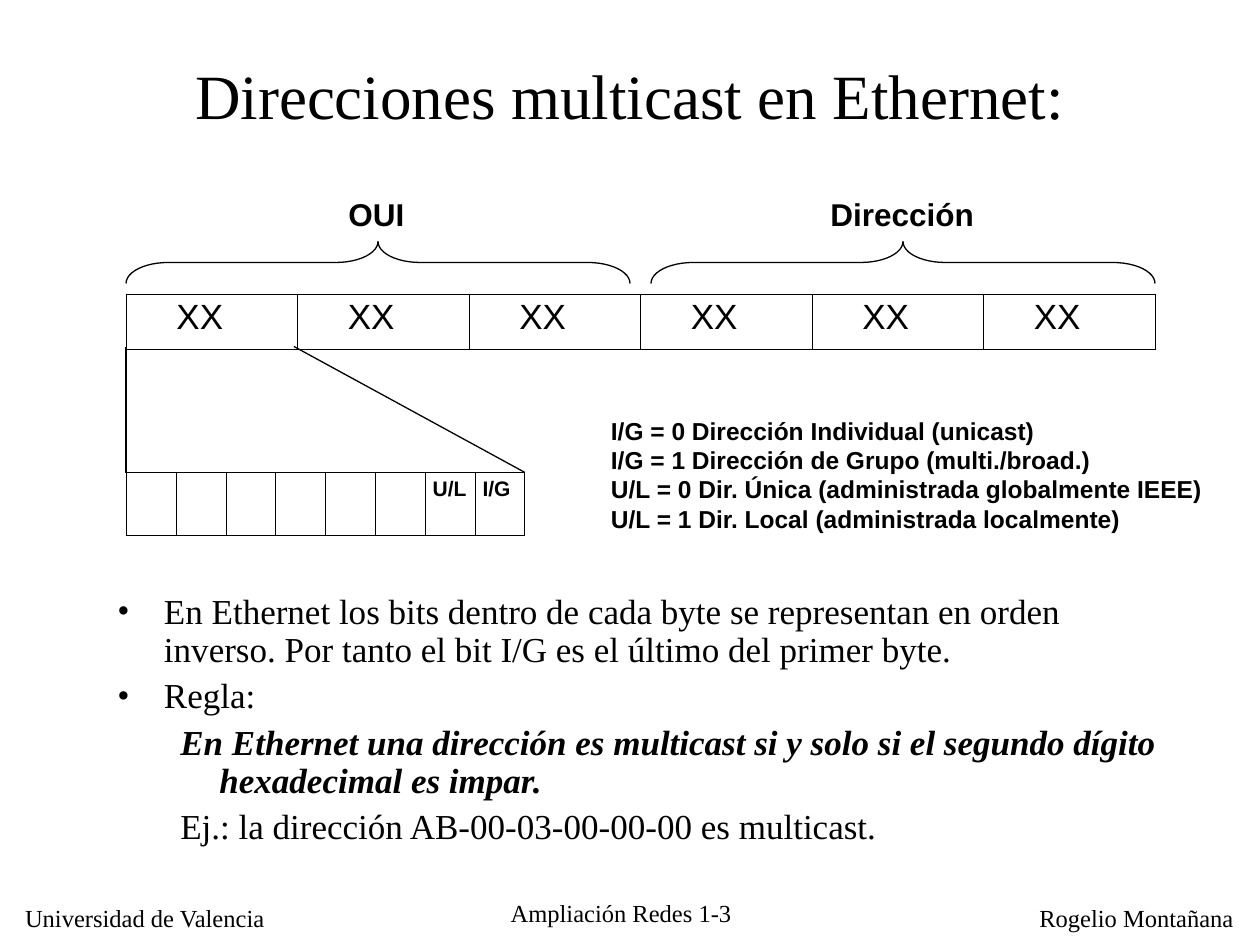
from dataclasses import dataclass
from typing import Optional

from lxml.etree import SubElement
from pptx import Presentation
from pptx.dml.color import RGBColor
from pptx.enum.shapes import MSO_CONNECTOR, MSO_SHAPE
from pptx.enum.text import MSO_ANCHOR, MSO_AUTO_SIZE, PP_ALIGN
from pptx.oxml.ns import qn
from pptx.util import Emu, Inches, Pt

BLACK = "000000"
SERIF, SANS = "Times New Roman", "Arial"
COLS, ROWS = 60, 45

prs = Presentation()
prs.slide_width, prs.slide_height = Inches(10), Inches(7.5)


@dataclass
class Box:
    col: float
    row: float
    cols: float
    rows: float

    def emu(self) -> tuple:
        return (x(self.col), y(self.row), x(self.cols), y(self.rows))


@dataclass
class Label:
    box: Box
    lines: list
    size: float
    font: str
    bold: bool = False
    align: Optional[PP_ALIGN] = None


@dataclass
class ByteTable:
    box: Box
    texts: list
    size: float
    bold: bool
    left: float
    right: float
    before: float


@dataclass
class Item:
    text: str
    level: int = 0
    strong: bool = False


LABELS = [
    Label(Box(0.6, 42.72, 12.8, 2.04), ["Universidad de Valencia"], 14, SERIF),
    Label(Box(48.9, 42.72, 10.44, 2.04), ["Rogelio Montañana"], 14, SERIF),
    Label(Box(22.56, 42.45, 14.04, 1.8), ["Ampliación Redes 1-3"], 14, SERIF, align=PP_ALIGN.CENTER),
    Label(Box(16, 9, 3.9, 2.4), ["OUI"], 18, SANS, True),
    Label(Box(38.95, 9, 8.04, 2.4), ["Dirección"], 18, SANS, True),
    Label(Box(28.5, 19.5, 29.46, 6.24), [
        "I/G = 0 Dirección Individual (unicast)",
        "I/G = 1 Dirección de Grupo (multi./broad.)",
        "U/L = 0 Dir. Única (administrada globalmente IEEE)",
        "U/L = 1 Dir. Local (administrada localmente)",
    ], 14, SANS, True),
]
TABLES = [
    ByteTable(Box(6, 14, 49, 2.64), ["XX"] * 6, 20, False, 0.4, 0.1, 5),
    ByteTable(Box(6, 22.5, 19, 3), [""] * 6 + ["U/L", "I/G"], 12, True, 0.06, 0.06, 3),
]
BRACES = [Box(17, 0.5, 2, 24), Box(42, 0.5, 2, 24)]
ZOOM_LINES = [(6, 6), (14, 25)]
ITEMS = [
    Item("En Ethernet los bits dentro de cada byte se representan en orden inverso. "
         "Por tanto el bit I/G es el último del primer byte."),
    Item("Regla:"),
    Item("En Ethernet una dirección es multicast si y solo si el segundo dígito "
         "hexadecimal es impar.", 1, True),
    Item("Ej.: la dirección AB-00-03-00-00-00 es multicast.", 1),
]


def x(cols: float) -> Emu:
    return Emu(round(prs.slide_width * cols / COLS))


def y(rows: float) -> Emu:
    return Emu(round(prs.slide_height * rows / ROWS))


def rgb(color: str) -> RGBColor:
    return RGBColor.from_string(color)


def style(p, size: float, font: str, bold: bool = False, italic: bool = False) -> None:
    for r in p.runs:
        r.font.size, r.font.name = Pt(size), font
        r.font.bold, r.font.italic = bold, italic
        r.font.color.rgb = rgb(BLACK)


def add_title(s, box: Box, text: str) -> None:
    sp = s.shapes.title
    sp.left, sp.top, sp.width, sp.height = box.emu()
    tf = sp.text_frame
    tf.text = text
    tf.vertical_anchor = MSO_ANCHOR.MIDDLE
    tf.auto_size = MSO_AUTO_SIZE.NONE
    tf.paragraphs[0].alignment = PP_ALIGN.CENTER
    style(tf.paragraphs[0], 36, SERIF)


def add_label(s, label: Label) -> None:
    tf = s.shapes.add_textbox(*label.box.emu()).text_frame
    tf.word_wrap = label.align is not None
    if not tf.word_wrap:
        tf.auto_size = MSO_AUTO_SIZE.SHAPE_TO_FIT_TEXT
    tf.text = "\n".join(label.lines)
    for p in tf.paragraphs:
        p.alignment = label.align
        style(p, label.size, label.font, label.bold)


def set_borders(cell, widths: dict) -> None:
    tc_pr = cell._tc.get_or_add_tcPr()
    for i, (side, width) in enumerate(widths.items()):
        ln = SubElement(tc_pr, qn(f"a:{side}"), w=str(Pt(width)))
        fill = SubElement(ln, qn("a:solidFill"))
        SubElement(fill, qn("a:srgbClr"), val=BLACK)
        tc_pr.insert(i, ln)


def add_byte_table(s, bt: ByteTable) -> None:
    n = len(bt.texts)
    table = s.shapes.add_table(1, n, *bt.box.emu()).table
    table.first_row = table.horz_banding = False
    for i, text in enumerate(bt.texts):
        table.columns[i].width = x(bt.box.cols / n)
        cell = table.cell(0, i)
        cell.fill.background()
        cell.margin_left, cell.margin_right = Inches(bt.left), Inches(bt.right)
        cell.text_frame.text = text
        p = cell.text_frame.paragraphs[0]
        p.line_spacing, p.space_before = 0.93, Pt(bt.before)
        style(p, bt.size, SANS, bt.bold)
        set_borders(cell, {"lnL": 0.5 if i == 0 else 0.23,
                           "lnR": 0.5 if i == n - 1 else 0.23,
                           "lnT": 0.5, "lnB": 0.5})


def add_brace(s, box: Box) -> None:
    sp = s.shapes.add_shape(MSO_SHAPE.LEFT_BRACE, *box.emu())
    sp.rotation = 90
    sp.adjustments[0] = 1
    sp.shadow.inherit = False
    sp.fill.background()
    sp.line.color.rgb, sp.line.width = rgb(BLACK), Pt(0.75)


def add_zoom_line(s, top_col: float, bottom_col: float) -> None:
    line = s.shapes.add_connector(MSO_CONNECTOR.STRAIGHT, x(top_col), y(16.5), x(bottom_col), y(22.5))
    line.line.color.rgb, line.line.width = rgb(BLACK), Pt(0.75)
    SubElement(line._element.spPr, qn("a:effectLst"))


def add_items(s, box: Box, items: list) -> None:
    tf = s.shapes.add_textbox(*box.emu()).text_frame
    tf.word_wrap = True
    tf.text = "\n".join(item.text for item in items)
    for p, item in zip(tf.paragraphs, items):
        p.level, p.line_spacing, p.space_before = item.level, 0.9, Pt(5)
        margin, indent = (0.81, -0.31) if item.level else (0.37, -0.37)
        p_pr = p._p.get_or_add_pPr()
        p_pr.set("marL", str(Inches(margin)))
        p_pr.set("indent", str(Inches(indent)))
        if item.level == 0:
            SubElement(p_pr, qn("a:buFont"), typeface=SERIF)
            SubElement(p_pr, qn("a:buChar"), char="•")
        style(p, 20, SERIF, item.strong, item.strong)


def main() -> None:
    s = prs.slides.add_slide(prs.slide_layouts[5])
    add_title(s, Box(4.5, 2.5, 51, 4), "Direcciones multicast en Ethernet:")
    for label in LABELS:
        add_label(s, label)
    for table in TABLES:
        add_byte_table(s, table)
    for brace in BRACES:
        add_brace(s, brace)
    for top_col, bottom_col in ZOOM_LINES:
        add_zoom_line(s, top_col, bottom_col)
    add_items(s, Box(5, 28, 51, 13.5), ITEMS)
    prs.save("out.pptx")


if __name__ == "__main__":
    main()
